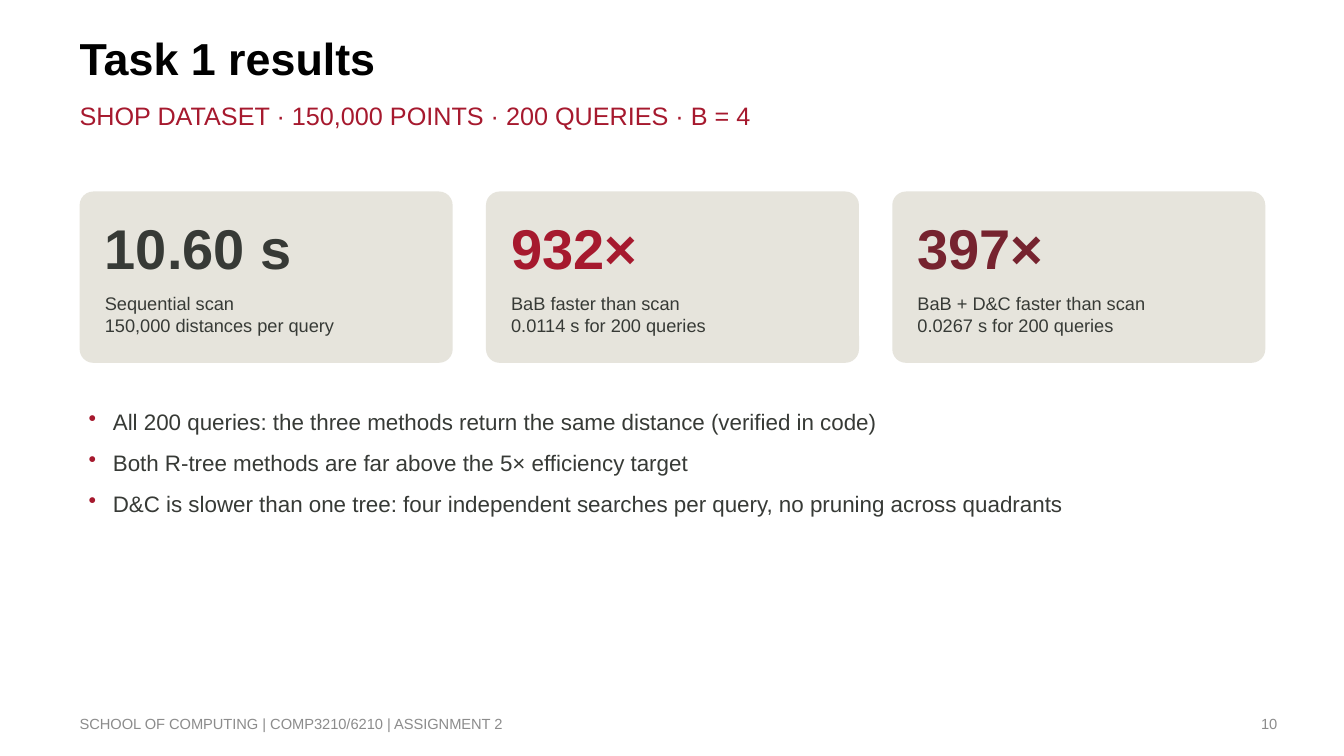
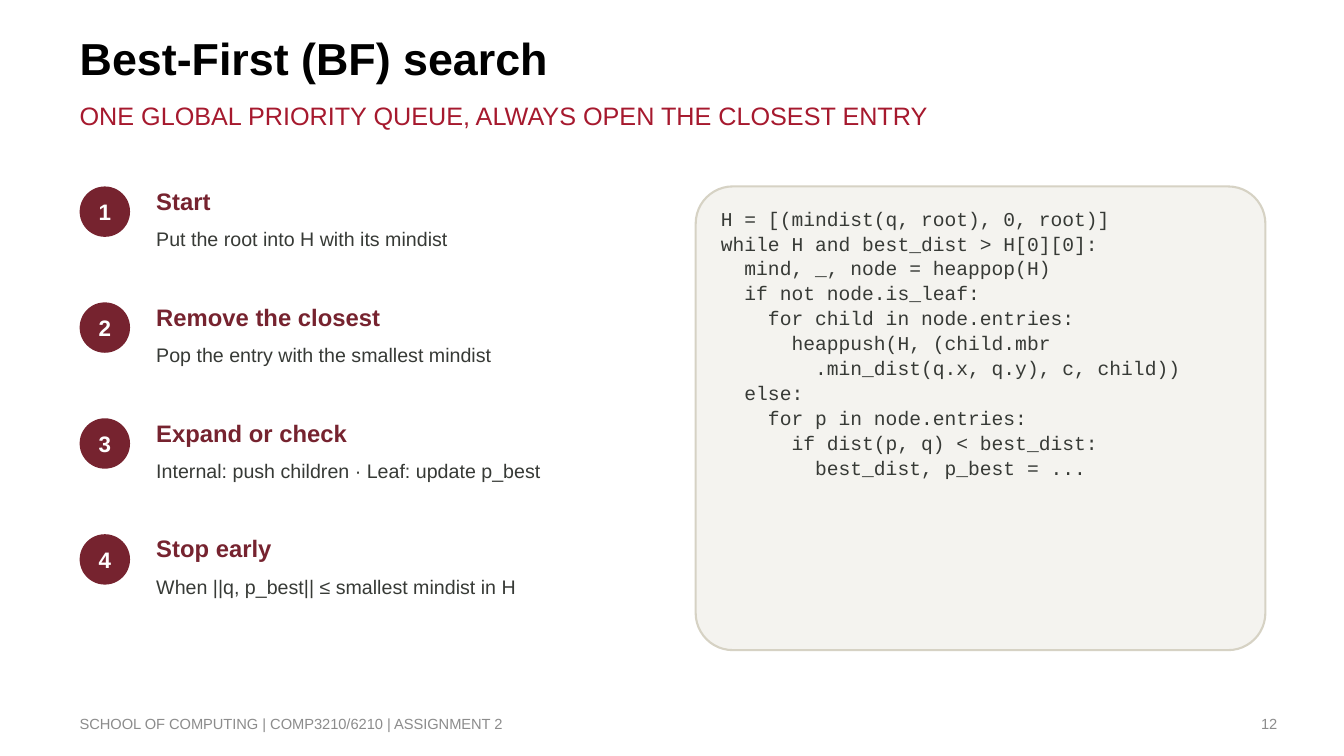
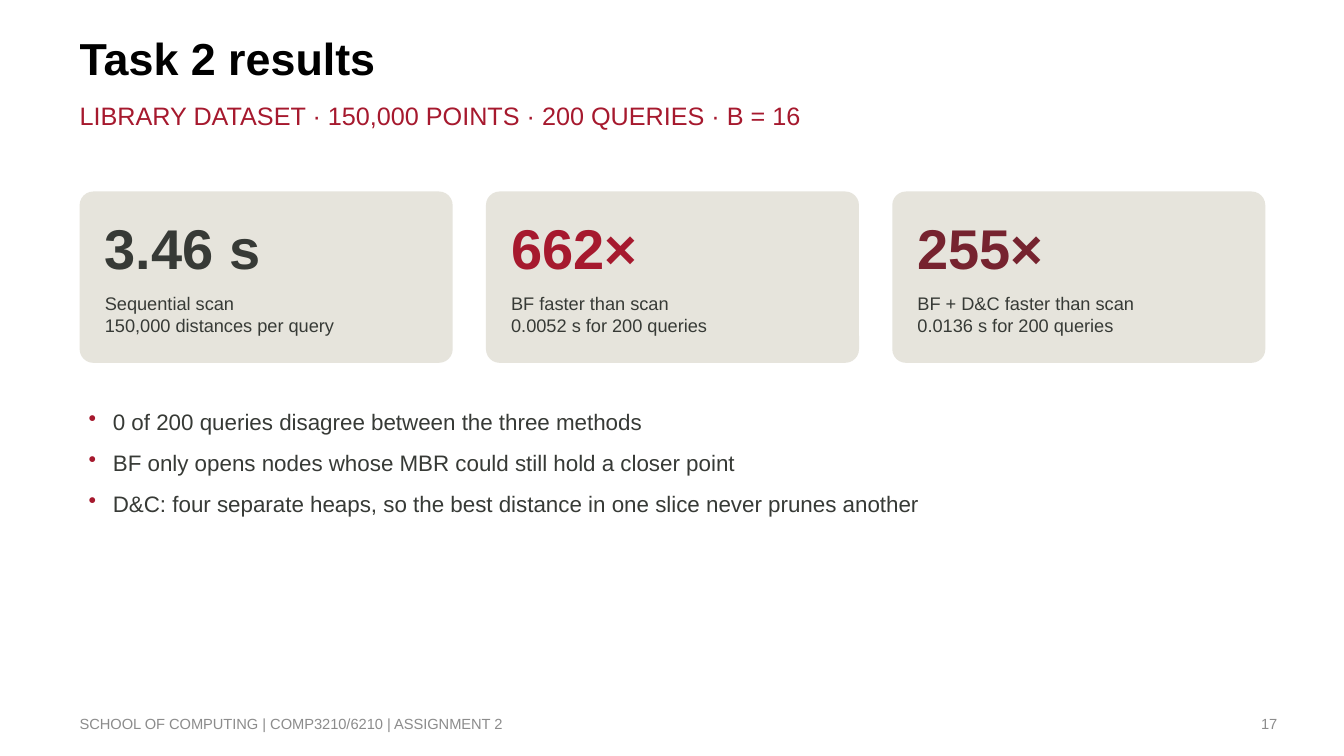
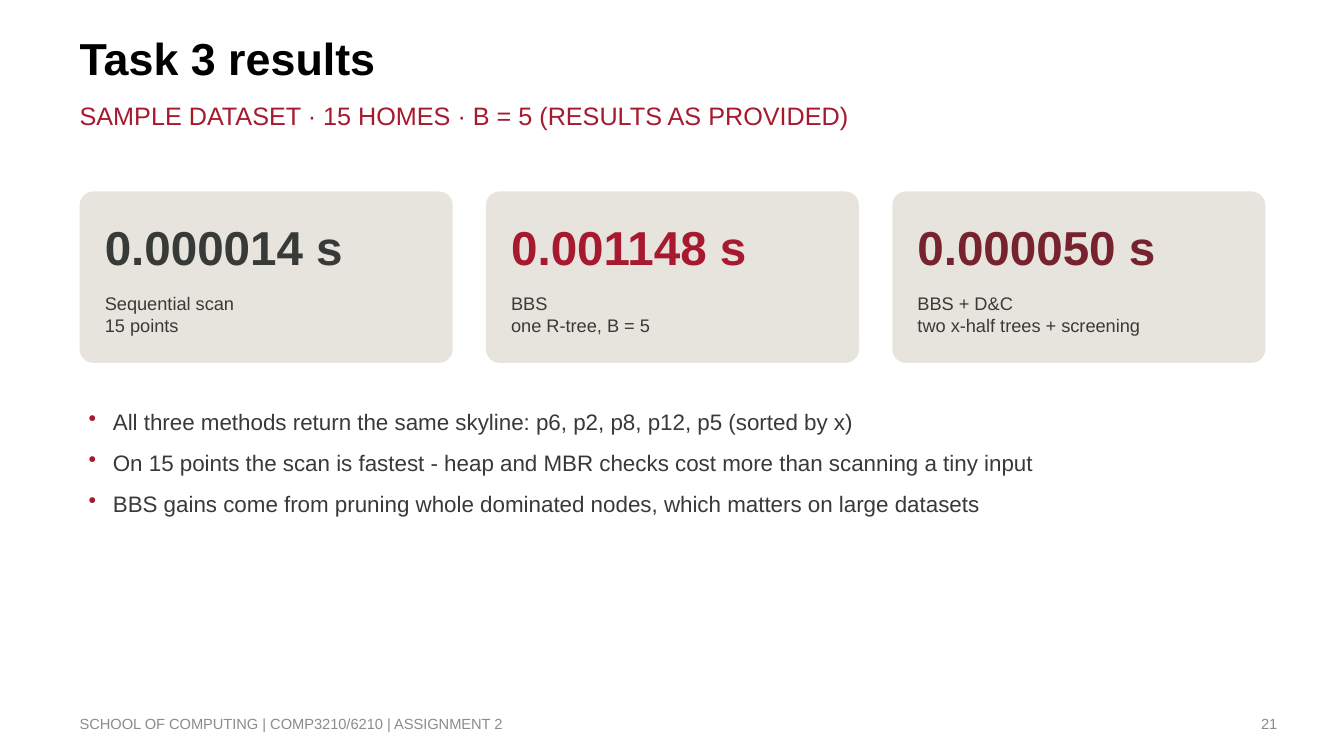
from dataclasses import dataclass

from lxml import etree
from pptx import Presentation
from pptx.dml.color import RGBColor
from pptx.enum.shapes import MSO_SHAPE
from pptx.enum.text import MSO_ANCHOR, MSO_AUTO_SIZE, PP_ALIGN
from pptx.oxml.ns import qn
from pptx.util import Inches, Pt

ROUNDED, OVAL = MSO_SHAPE.ROUNDED_RECTANGLE, MSO_SHAPE.OVAL
TOP, MIDDLE = MSO_ANCHOR.TOP, MSO_ANCHOR.MIDDLE
LEFT, CENTER, RIGHT = PP_ALIGN.LEFT, PP_ALIGN.CENTER, PP_ALIGN.RIGHT
NO_FIT, GROW = MSO_AUTO_SIZE.NONE, MSO_AUTO_SIZE.SHAPE_TO_FIT_TEXT
TITLE_ONLY = 5


@dataclass(frozen=True)
class Theme:
    font: str = "Arial"
    code_font: str = "Courier New"
    black: str = "000000"
    white: str = "FFFFFF"
    ink: str = "373A36"
    red: str = "A6192E"
    maroon: str = "76232F"
    grey: str = "8C8C8C"
    card: str = "E6E4DC"
    panel: str = "F4F3EF"
    panel_line: str = "D6D2C4"
    title_size: float = 32
    subtitle_size: float = 18
    step_size: float = 17
    bullet_size: float = 16
    body_size: float = 14
    caption_size: float = 13
    footer_size: float = 10.5


THEME = Theme()


@dataclass(frozen=True)
class Box:
    left: float
    top: float
    width: float
    height: float

    def emu(self):
        return [Inches(v) for v in (self.left, self.top, self.width, self.height)]

    def inset(self, left=0, top=0, right=0, bottom=0):
        return Box(self.left + left, self.top + top,
                   self.width - left - right, self.height - top - bottom)

    def columns(self, *shares, gap=0):
        unit = (self.width - gap * (len(shares) - 1)) / sum(shares)
        return [Box(self.left + unit * sum(shares[:i]) + gap * i, self.top,
                    unit * share, self.height) for i, share in enumerate(shares)]

    def rows(self, *shares):
        unit = self.height / sum(shares)
        return [Box(self.left, self.top + unit * sum(shares[:i]),
                    self.width, unit * share) for i, share in enumerate(shares)]


PAGE = Box(0, 0, 13.33, 7.5)
BODY = PAGE.inset(0.79, 1.85, 0.78, 1.05)
TITLE = Box(BODY.left, 0.3, 9.25, 0.71)
SUBTITLE = Box(BODY.left, 0.99, 9.34, 0.49)
FOOTER = Box(BODY.left, 6.98, 11.88, 0.4)
CARDS = BODY.inset(top=0.05, bottom=2.85)
BULLETS = BODY.inset(top=2.15, bottom=0.05)
STEPS = BODY.inset(right=6.15)
CODE = BODY.inset(left=6.11)


def add_bullet(paragraph, color):
    props = paragraph._p.get_or_add_pPr()
    props.set("marL", str(Inches(0.28)))
    props.set("indent", str(Inches(-0.24)))
    tint = etree.SubElement(props, qn("a:buClr"))
    etree.SubElement(tint, qn("a:srgbClr")).set("val", color)
    etree.SubElement(props, qn("a:buChar")).set("char", "•")


def write(frame, lines, size=THEME.body_size, color=THEME.ink, bold=False,
          font=THEME.font, align=LEFT, anchor=TOP, inset=0.05, after=0,
          bullet=None, fit=GROW):
    frame.word_wrap = True
    frame.auto_size = fit
    frame.vertical_anchor = anchor
    frame.margin_left = frame.margin_right = Inches(inset)
    frame.margin_top = frame.margin_bottom = Inches(inset)
    for i, line in enumerate(lines):
        paragraph = frame.add_paragraph() if i else frame.paragraphs[0]
        paragraph.alignment = align
        paragraph.space_after = Pt(after)
        if bullet:
            add_bullet(paragraph, bullet)
        run = paragraph.add_run()
        run.text = line
        run.font.name = font
        run.font.size = Pt(size)
        run.font.bold = bold
        run.font.color.rgb = RGBColor.from_string(color)


def add_text(slide, box, *lines, **style):
    write(slide.shapes.add_textbox(*box.emu()).text_frame, lines, **style)


def add_panel(slide, kind, box, fill, line=None):
    panel = slide.shapes.add_shape(kind, *box.emu())
    panel.shadow.inherit = False
    panel.fill.solid()
    panel.fill.fore_color.rgb = RGBColor.from_string(fill)
    if line:
        panel.line.color.rgb = RGBColor.from_string(line)
        panel.line.width = Pt(1.5)
    else:
        panel.line.fill.background()
    if kind == ROUNDED:
        panel.adjustments[0] = 0.08
    return panel


def add_page(deck, title, subtitle, number):
    slide = deck.slides.add_slide(deck.slide_layouts[TITLE_ONLY])
    heading = slide.shapes.title
    heading.left, heading.top, heading.width, heading.height = TITLE.emu()
    write(heading.text_frame, [title], size=THEME.title_size, color=THEME.black,
          bold=True, inset=0, fit=NO_FIT)
    add_text(slide, SUBTITLE, subtitle, size=THEME.subtitle_size,
             color=THEME.red, inset=0, fit=NO_FIT)
    course, page_number = FOOTER.columns(0.5, 0.5)
    footer = dict(size=THEME.footer_size, color=THEME.grey, anchor=MIDDLE,
                  inset=0, fit=NO_FIT)
    add_text(slide, course, "SCHOOL OF COMPUTING | COMP3210/6210 | ASSIGNMENT 2", **footer)
    add_text(slide, page_number, str(number), align=RIGHT, **footer)
    return slide


def add_card(slide, box, value, caption, color, size):
    add_panel(slide, ROUNDED, box, THEME.card)
    figure, note = box.inset(0.2, 0.15, 0.2, 0.1).rows(0.8, 0.65)
    add_text(slide, figure, value, size=size, color=color, bold=True,
             anchor=MIDDLE, after=6)
    add_text(slide, note, *caption, size=THEME.caption_size)


def add_results(deck, title, subtitle, number, cards, findings, value_size=40):
    slide = add_page(deck, title, subtitle, number)
    colors = (THEME.ink, THEME.red, THEME.maroon)
    for box, (value, *caption), color in zip(CARDS.columns(1, 1, 1, gap=0.33), cards, colors):
        add_card(slide, box, value, caption, color, value_size)
    add_text(slide, BULLETS, *findings, size=THEME.bullet_size, after=10,
             bullet=THEME.red)


def add_step(slide, box, number, name, detail):
    marker, _, words = box.columns(0.5, 0.21, 4.9)
    badge = add_panel(slide, OVAL, marker.inset(bottom=box.height - marker.width), THEME.maroon)
    write(badge.text_frame, [str(number)], size=THEME.bullet_size, color=THEME.white,
          bold=True, align=CENTER, anchor=MIDDLE, inset=0, fit=NO_FIT)
    label, note = words.inset(top=-0.05, bottom=0.2).rows(0.4, 0.6)
    add_text(slide, label, name, size=THEME.step_size, color=THEME.maroon,
             bold=True, after=6)
    add_text(slide, note, detail, after=6)


def add_code(slide, box, code):
    add_panel(slide, ROUNDED, box, THEME.panel, THEME.panel_line)
    add_text(slide, box.inset(0.2, 0.15, 0.2, 0.15), *code,
             font=THEME.code_font, after=1)


def add_algorithm(deck, title, subtitle, number, steps, code):
    slide = add_page(deck, title, subtitle, number)
    for i, (box, step) in enumerate(zip(STEPS.rows(*[1] * len(steps)), steps), 1):
        add_step(slide, box, i, *step)
    add_code(slide, CODE, code)


def main():
    deck = Presentation()
    deck.slide_width, deck.slide_height = PAGE.emu()[2:]

    add_results(
        deck, "Task 1 results", "SHOP DATASET · 150,000 POINTS · 200 QUERIES · B = 4", 10,
        [("10.60 s", "Sequential scan", "150,000 distances per query"),
         ("932×", "BaB faster than scan", "0.0114 s for 200 queries"),
         ("397×", "BaB + D&C faster than scan", "0.0267 s for 200 queries")],
        ["All 200 queries: the three methods return the same distance (verified in code)",
         "Both R-tree methods are far above the 5× efficiency target",
         "D&C is slower than one tree: four independent searches per query, "
         "no pruning across quadrants"])

    add_algorithm(
        deck, "Best-First (BF) search",
        "ONE GLOBAL PRIORITY QUEUE, ALWAYS OPEN THE CLOSEST ENTRY", 12,
        [("Start", "Put the root into H with its mindist"),
         ("Remove the closest", "Pop the entry with the smallest mindist"),
         ("Expand or check", "Internal: push children · Leaf: update p_best"),
         ("Stop early", "When ||q, p_best|| ≤ smallest mindist in H")],
        ["H = [(mindist(q, root), 0, root)]",
         "while H and best_dist > H[0][0]:",
         "  mind, _, node = heappop(H)",
         "  if not node.is_leaf:",
         "    for child in node.entries:",
         "      heappush(H, (child.mbr",
         "        .min_dist(q.x, q.y), c, child))",
         "  else:",
         "    for p in node.entries:",
         "      if dist(p, q) < best_dist:",
         "        best_dist, p_best = ..."])

    add_results(
        deck, "Task 2 results", "LIBRARY DATASET · 150,000 POINTS · 200 QUERIES · B = 16", 17,
        [("3.46 s", "Sequential scan", "150,000 distances per query"),
         ("662×", "BF faster than scan", "0.0052 s for 200 queries"),
         ("255×", "BF + D&C faster than scan", "0.0136 s for 200 queries")],
        ["0 of 200 queries disagree between the three methods",
         "BF only opens nodes whose MBR could still hold a closer point",
         "D&C: four separate heaps, so the best distance in one slice never prunes another"])

    add_results(
        deck, "Task 3 results", "SAMPLE DATASET · 15 HOMES · B = 5 (RESULTS AS PROVIDED)", 21,
        [("0.000014 s", "Sequential scan", "15 points"),
         ("0.001148 s", "BBS", "one R-tree, B = 5"),
         ("0.000050 s", "BBS + D&C", "two x-half trees + screening")],
        ["All three methods return the same skyline: p6, p2, p8, p12, p5 (sorted by x)",
         "On 15 points the scan is fastest - heap and MBR checks cost more "
         "than scanning a tiny input",
         "BBS gains come from pruning whole dominated nodes, which matters on large datasets"],
        value_size=34)

    deck.save("out.pptx")


if __name__ == "__main__":
    main()
